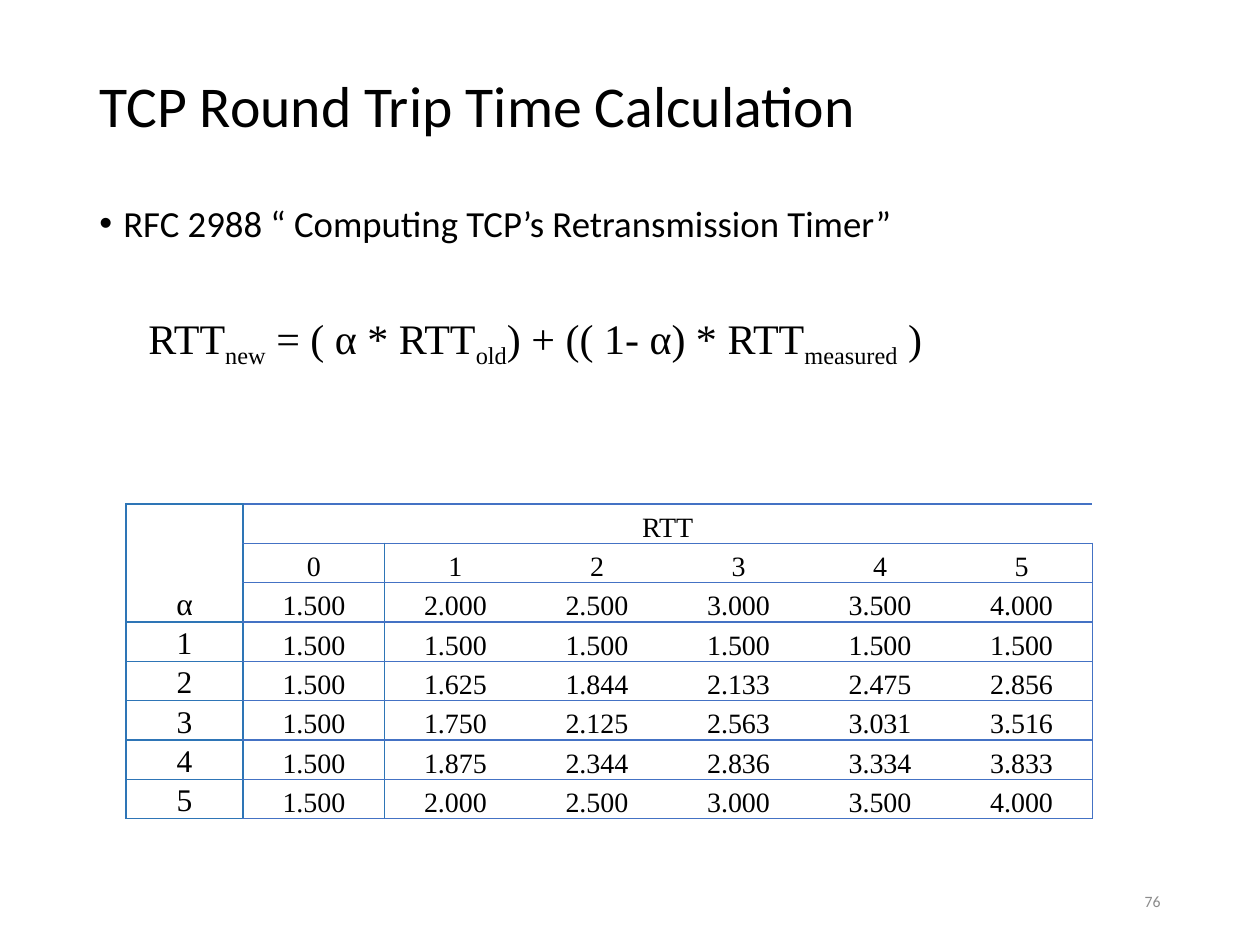
from lxml import etree
from pptx import Presentation
from pptx import util as u
from pptx.dml.color import RGBColor
from pptx.enum import text
from pptx.oxml import ns

WIDTH, HEIGHT = 10, 7.5
SANS, SERIF = "Calibri", "Times New Roman"
BLACK, WHITE, GREY = "000000", "FFFFFF", "8C8C8C"
HEAD_LINE, GRID_LINE = "2E75B6", "4472C4"
NO_STYLE = "{2D5ABB26-0587-4C30-8999-92F81FD0307C}"
ALPHA_ROWS, RTT_COLUMNS = 3, 6

FORMULA = [
    ("RTT", 0), ("new", -25), (" = ( α * RTT", 0), ("old", -25),
    (") + (( 1- α) * RTT", 0), ("measured", -25), (" )", 0),
]
ROWS = [
    ["α", "RTT", "", "", "", "", ""],
    ["", "0", "1", "2", "3", "4", "5"],
    ["", "1.500", "2.000", "2.500", "3.000", "3.500", "4.000"],
    ["1", "1.500", "1.500", "1.500", "1.500", "1.500", "1.500"],
    ["2", "1.500", "1.625", "1.844", "2.133", "2.475", "2.856"],
    ["3", "1.500", "1.750", "2.125", "2.563", "3.031", "3.516"],
    ["4", "1.500", "1.875", "2.344", "2.836", "3.334", "3.833"],
    ["5", "1.500", "2.000", "2.500", "3.000", "3.500", "4.000"],
]


def colour(value):
    return RGBColor.from_string(value)


def add_xml(parent, tag, **attributes):
    return etree.SubElement(parent, ns.qn(tag), **attributes)


def write(para, words, size=16, font=SERIF, fill=BLACK, align="LEFT",
          spacing=None, before=None, baseline=0):
    para.alignment = getattr(text.PP_ALIGN, align)
    if spacing:
        para.line_spacing = spacing
    if before:
        para.space_before = u.Pt(before)
    span = para.add_run()
    span.text = words
    span.font.size = u.Pt(size)
    span.font.name = font
    span.font.color.rgb = colour(fill)
    if baseline:
        span.font._element.set("baseline", str(baseline * 1000))


def add_box(page, left, top, width, height, anchor="TOP", wrap=True):
    box = page.shapes.add_textbox(*map(u.Inches, (left, top, width, height)))
    box.text_frame.word_wrap = wrap
    box.text_frame.vertical_anchor = getattr(text.MSO_ANCHOR, anchor)
    return box.text_frame


def add_bullet(para, indent):
    properties = para._p.get_or_add_pPr()
    properties.set("marL", str(u.Inches(indent)))
    properties.set("indent", str(-u.Inches(indent)))
    add_xml(properties, "a:buFont", typeface="Arial")
    add_xml(properties, "a:buChar", char="•")


def cell_edges(row, column):
    below_head = row > 0
    in_body = column > 0
    left = column < 2 or (column == 2 and below_head)
    right = column in (0, RTT_COLUMNS) or (column == 1 and below_head)
    top = in_body or row == 0 or row >= ALPHA_ROWS
    bottom = in_body or row >= ALPHA_ROWS - 1
    blue = GRID_LINE if in_body else HEAD_LINE
    return {
        "a:lnL": (left, HEAD_LINE),
        "a:lnR": (right, blue),
        "a:lnT": (top, blue),
        "a:lnB": (bottom, blue),
    }


def add_borders(cell, edges):
    properties = cell._tc.get_or_add_tcPr()
    for tag, (visible, shade) in edges.items():
        line = add_xml(properties, tag, w=str(u.Pt(1)))
        if visible:
            add_xml(add_xml(line, "a:solidFill"), "a:srgbClr", val=shade)
        else:
            add_xml(line, "a:noFill")


def fill_cell(cell, words, row, column):
    add_borders(cell, cell_edges(row, column))
    cell.fill.solid()
    cell.fill.fore_color.rgb = colour(WHITE)
    cell.margin_left = cell.margin_right = cell.margin_top = u.Inches(0.01)
    cell.margin_bottom = 0
    cell.vertical_anchor = text.MSO_ANCHOR.BOTTOM
    if words:
        write(cell.text_frame.paragraphs[0], words, align="CENTER",
              size=16 if column else 18)


def add_rtt_table(page, left, top, width, height, first_width):
    frame = page.shapes.add_table(len(ROWS), len(ROWS[0]),
                                  *map(u.Inches, (left, top, width, height)))
    table = frame.table
    table.first_row = table.horz_banding = False
    table._tbl.tblPr.find(ns.qn("a:tableStyleId")).text = NO_STYLE
    for index, column in enumerate(table.columns):
        share = (width - first_width) / RTT_COLUMNS
        column.width = u.Inches(share if index else first_width)
    table.cell(0, 0).merge(table.cell(ALPHA_ROWS - 1, 0))
    table.cell(0, 1).merge(table.cell(0, RTT_COLUMNS))
    for row, line in enumerate(ROWS):
        for column, words in enumerate(line):
            fill_cell(table.cell(row, column), words, row, column)


def main():
    deck = Presentation()
    deck.slide_width, deck.slide_height = u.Inches(WIDTH), u.Inches(HEIGHT)
    page = deck.slides.add_slide(deck.slide_layouts[6])
    margin = WIDTH * 0.069
    content = WIDTH - 2 * margin

    title = add_box(page, margin, 0.4, content, 0.93, anchor="MIDDLE")
    write(title.paragraphs[0], "TCP Round Trip Time Calculation",
          size=33, font=SANS, spacing=0.9)

    body = add_box(page, margin, 1.58, content, 0.58)
    write(body.paragraphs[0], "RFC 2988 “ Computing TCP’s Retransmission Timer”",
          size=21, font=SANS, spacing=0.9, before=7.5)
    add_bullet(body.paragraphs[0], 0.19)

    number = add_box(page, WIDTH - margin - 2.25, 6.95, 2.25, 0.4, anchor="MIDDLE")
    write(number.paragraphs[0], "76", size=9, font=SANS, fill=GREY, align="RIGHT")

    formula = add_box(page, 1.08, 2.43, 6.64, 0.5, wrap=False)
    formula.auto_size = text.MSO_AUTO_SIZE.SHAPE_TO_FIT_TEXT
    for words, baseline in FORMULA:
        write(formula.paragraphs[0], words, size=24, baseline=baseline)

    add_rtt_table(page, 1, 4, 7.67, 2.5, first_width=0.93)
    deck.save("out.pptx")


if __name__ == "__main__":
    main()
